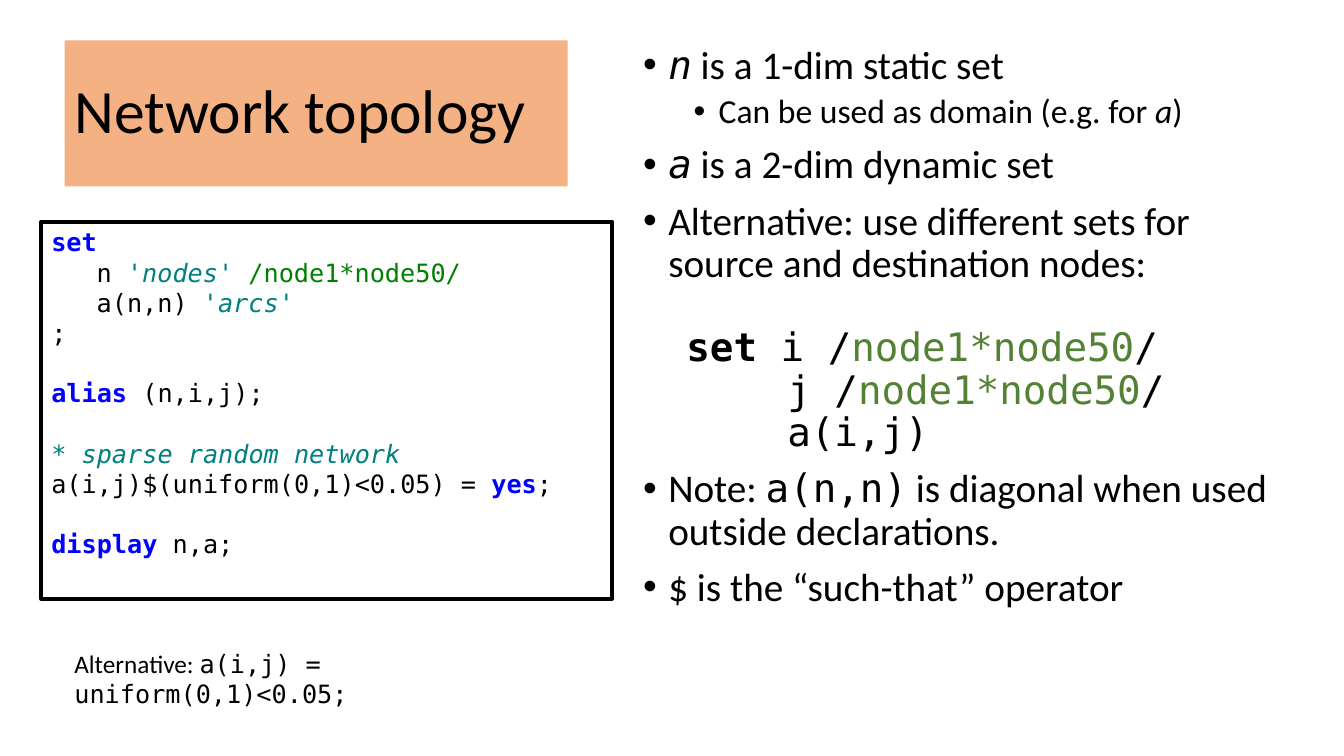
from dataclasses import dataclass, field

from lxml.etree import SubElement
from pptx import Presentation
from pptx.dml.color import RGBColor
from pptx.enum.shapes import MSO_SHAPE
from pptx.enum.text import MSO_ANCHOR, PP_ALIGN
from pptx.oxml.ns import qn
from pptx.util import Inches, Pt


@dataclass(frozen=True)
class Theme:
    sans: str = "Calibri"
    mono: str = "DejaVu Sans Mono"
    black: str = "000000"
    blue: str = "0000FF"
    teal: str = "008080"
    green: str = "008000"
    moss: str = "548235"
    peach: str = "F4B183"
    head: int = 44
    main: int = 28
    sub: int = 24
    code: int = 18


@dataclass(frozen=True)
class Box:
    """Place and size in percent of the slide."""
    left: float
    top: float
    width: float
    height: float


@dataclass(frozen=True)
class Run:
    text: str
    color: str = "000000"
    font: dict = field(default_factory=dict)


@dataclass(frozen=True)
class Line:
    runs: list
    size: int
    indent: float = 0
    before: float = 0
    space: float = 1
    bullet: bool = False


THEME = Theme()
WIDE, HIGH = Inches(13.33), Inches(7.5)
HANG = 0.25   # bullet hang, inches
TAB = 0.45    # three code letters, inches
GAP = 21.5    # one empty code line, points


def plain(text: str) -> Run:
    return Run(text, THEME.black, {"name": THEME.sans})


def slant(text: str) -> Run:
    return Run(text, THEME.black, {"name": THEME.sans, "italic": True})


def code(text: str, color: str = THEME.black, **font) -> Run:
    return Run(text, color, {"name": THEME.mono, **font})


def key(text: str) -> Run:
    return code(text, THEME.blue, bold=True)


def gloss(text: str) -> Run:
    return code(text, THEME.teal, italic=True)


def point(*runs: Run) -> Line:
    return Line(list(runs), THEME.main, HANG, 10, 0.9, True)


def inset(indent: float, before: float, *runs: Run) -> Line:
    return Line(list(runs), THEME.main, indent, before, 0.9)


def row(*runs: Run, tab: float = 0, gap: float = 0) -> Line:
    return Line(list(runs), THEME.code, tab, gap)


def place(box: Box) -> dict:
    return {"left": int(WIDE * box.left / 100), "top": int(HIGH * box.top / 100),
            "width": int(WIDE * box.width / 100), "height": int(HIGH * box.height / 100)}


def apply(target, values: dict) -> None:
    for name, value in values.items():
        setattr(target, name, value)


def write(shape, lines: list[Line], anchor=MSO_ANCHOR.TOP) -> None:
    frame = shape.text_frame
    apply(frame, {"word_wrap": True, "vertical_anchor": anchor})
    for spot, line in enumerate(lines):
        par = frame.add_paragraph() if spot else frame.paragraphs[0]
        apply(par, {"alignment": PP_ALIGN.LEFT, "line_spacing": line.space,
                    "space_before": Pt(line.before)})
        props = par._p.get_or_add_pPr()
        props.set("marL", str(Inches(line.indent)))
        props.set("indent", str(Inches(-HANG if line.bullet else 0)))
        if line.bullet:
            SubElement(props, qn("a:buFont")).set("typeface", "Arial")
            SubElement(props, qn("a:buChar")).set("char", "•")
        for item in line.runs:
            run = par.add_run()
            run.text = item.text
            apply(run.font, {"size": Pt(line.size), **item.font})
            run.font.color.rgb = RGBColor.from_string(item.color)


POINTS = [
    point(code("n", italic=True), plain(" is a 1-dim static set")),
    Line([plain("Can be used as domain (e.g. for "), slant("a"), plain(")")],
         THEME.sub, 3 * HANG, 5, 0.9, True),
    point(code("a", italic=True), plain(" is a 2-dim dynamic set")),
    point(plain("Alternative: use different sets for source and destination nodes:")),
    inset(0.43, 30, code("set", bold=True), code(" i /"),
          code("node1*node50", THEME.moss), code("/")),
    inset(1.43, 0, code("j /"), code("node1*node50", THEME.moss), code("/")),
    inset(1.43, 0, code("a(i,j)")),
    point(plain("Note: "), code("a(n,n)"),
          plain(" is diagonal when used outside declarations.")),
    point(plain("$ is the “such-that” operator")),
]

MODEL = [
    row(key("set")),
    row(code("n "), gloss("'nodes' "), code("/node1*node50/", THEME.green), tab=TAB),
    row(code("a(n,n) "), gloss("'arcs'"), tab=TAB),
    row(code(";")),
    row(key("alias"), code(" (n,i,j);"), gap=GAP),
    row(gloss("* sparse random network"), gap=GAP),
    row(code("a(i,j)$(uniform(0,1)<0.05) = "), key("yes"), code(";")),
    row(key("display"), code(" n,a;"), gap=GAP),
]


def main() -> None:
    deck = Presentation()
    apply(deck, {"slide_width": WIDE, "slide_height": HIGH})
    slide = deck.slides.add_slide(deck.slide_layouts[5])
    shapes = slide.shapes

    # Title
    title = shapes.title
    apply(title, place(Box(4.8, 5.33, 37.43, 19.33)))
    title.fill.solid()
    title.fill.fore_color.rgb = RGBColor.from_string(THEME.peach)
    write(title, [Line([plain("Network topology")], THEME.head, space=0.9)],
          MSO_ANCHOR.MIDDLE)

    # Bullet points
    write(shapes.add_textbox(**place(Box(47.11, 5.33, 49.81, 91.33))), POINTS)

    # Framed model code
    panel = shapes.add_shape(MSO_SHAPE.RECTANGLE,
                             **place(Box(3.08, 29.33, 42.46, 49.87)))
    panel.shadow.inherit = False
    panel.fill.background()
    panel.line.width = Pt(3)
    panel.line.color.rgb = RGBColor.from_string(THEME.black)
    write(panel, MODEL)

    # Note below the code
    note = shapes.add_textbox(**place(Box(4.8, 85.07, 40.06, 5.33)))
    write(note, [row(plain("Alternative: "), code("a(i,j) = uniform(0,1)<0.05;"))])

    deck.save("out.pptx")


if __name__ == "__main__":
    main()
